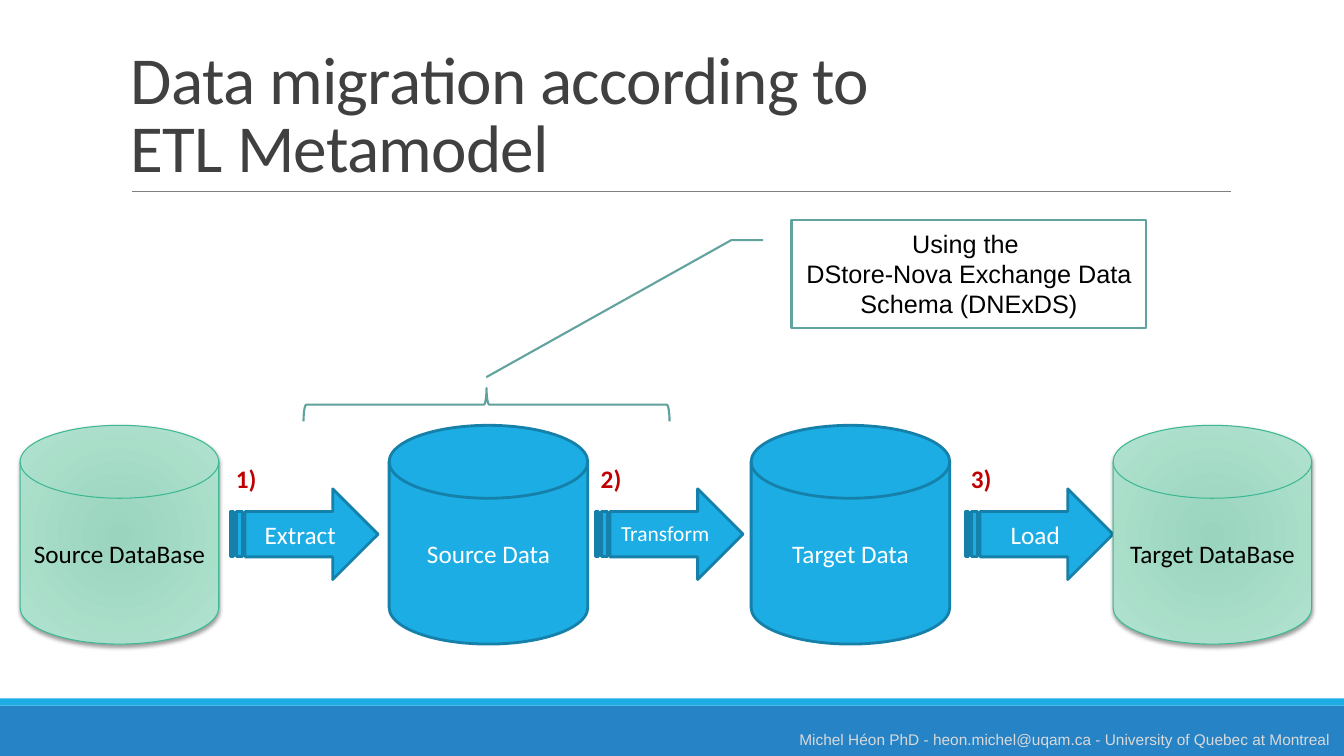
from dataclasses import dataclass

from lxml import etree
from pptx import Presentation
from pptx.dml.color import RGBColor
from pptx.enum import shapes, text
from pptx.oxml import parse_xml
from pptx.oxml.ns import nsdecls, qn
from pptx.util import Inches, Pt

COLORS = {
    "white": "FFFFFF", "black": "000000", "title": "404040", "rule": "808080",
    "band": "2683C6", "blue": "1CADE4", "blue_edge": "1580A9",
    "green_core": "9AD4BE", "green": "B1E3D0", "green_edge": "3DB894",
    "number": "C00000", "callout": "62A39F", "brace": "5EA19D", "footer": "D9D9D9",
}
KINDS = shapes.MSO_SHAPE
ALIGN = text.PP_ALIGN
STORE_TOP, STORE_SIZE = 4.22, (1.97, 2.17)
STEP_TOP, STEP_SIZE = 4.85, (1.46, 0.9)
NUMBER_TOP, NUMBER_SHIFT, NUMBER_SIZE = 4.55, -0.05, (0.48, 0.4)


@dataclass
class Store:
    label: str
    left: float
    is_database: bool = False


@dataclass
class Step:
    label: str
    left: float
    size: float = 18
    spacing: float = 1.0


STORES = [
    Store("Target DataBase", 11.04, True),
    Store("Source DataBase", 0.2, True),
    Store("Source Data", 3.86),
    Store("Target Data", 7.45),
]
STEPS = [Step("Extract", 2.29), Step("Transform", 5.91, 15.3, 0.9), Step("Load", 9.58)]


def rgb(color: str) -> RGBColor:
    return RGBColor.from_string(COLORS[color])


def write(shape, words: str, size: float, color: str, font: str = "Calibri",
          align=None, spacing: float | None = None, bold: bool = False) -> None:
    shape.text_frame.text = words
    for paragraph in shape.text_frame.paragraphs:
        paragraph.alignment = align
        paragraph.line_spacing = spacing
        for run in paragraph.runs:
            run.font.name = font
            run.font.size = Pt(size)
            run.font.bold = bold
            run.font.color.rgb = rgb(color)


def add_shape(slide, kind, left: float, top: float, width: float, height: float,
              fill: str | None, line: str | None = None, weight: float = 2):
    shape = slide.shapes.add_shape(
        kind, Inches(left), Inches(top), Inches(width), Inches(height))
    shape.shadow.inherit = False
    if fill:
        shape.fill.solid()
        shape.fill.fore_color.rgb = rgb(fill)
    else:
        shape.fill.background()
    if line:
        shape.line.color.rgb = rgb(line)
        shape.line.width = Pt(weight)
    else:
        shape.line.fill.background()
    shape.text_frame.vertical_anchor = text.MSO_ANCHOR.MIDDLE
    return shape


def add_text(slide, left: float, top: float, width: float, height: float, wrap: bool):
    box = slide.shapes.add_textbox(
        Inches(left), Inches(top), Inches(width), Inches(height))
    box.text_frame.word_wrap = wrap
    return box


def style_database(shape) -> None:
    """Give a database its radial gradient and soft shadow."""
    shape.fill.gradient()
    for stop, color in zip(shape.fill.gradient_stops, ("green_core", "green")):
        stop.color.rgb = rgb(color)
    properties = shape._element.spPr
    gradient = properties.find(qn("a:gradFill"))
    gradient.replace(gradient.find(qn("a:lin")), parse_xml(
        f'<a:path {nsdecls("a")} path="circle">'
        '<a:fillToRect l="50000" t="50000" r="50000" b="50000"/></a:path>'))
    properties.find(qn("a:effectLst")).append(parse_xml(
        f'<a:outerShdw {nsdecls("a")} blurRad="{Pt(3.1)}" dist="{Pt(1.6)}" '
        f'dir="5400000" rotWithShape="0"><a:srgbClr val="{COLORS["black"]}">'
        '<a:alpha val="38000"/></a:srgbClr></a:outerShdw>'))


def add_store(slide, store: Store) -> None:
    edge, weight = ("green_edge", 0.75) if store.is_database else ("blue_edge", 2)
    disk = add_shape(slide, KINDS.FLOWCHART_MAGNETIC_DISK, store.left, STORE_TOP,
                     *STORE_SIZE, "blue", edge, weight)
    if store.is_database:
        style_database(disk)
    write(disk, store.label, 18, "black" if store.is_database else "white",
          align=ALIGN.CENTER)


def add_step(slide, number: int, step: Step) -> None:
    arrow = add_shape(slide, KINDS.STRIPED_RIGHT_ARROW, step.left, STEP_TOP,
                      *STEP_SIZE, "blue", "blue_edge")
    write(arrow, step.label, step.size, "white", align=ALIGN.CENTER,
          spacing=step.spacing)
    marker = add_text(slide, step.left + NUMBER_SHIFT, NUMBER_TOP, *NUMBER_SIZE, False)
    write(marker, f"{number})", 18, "number", bold=True)


def main() -> None:
    deck = Presentation()
    deck.slide_width, deck.slide_height = Inches(13.33), Inches(7.5)
    slide = deck.slides.add_slide(deck.slide_layouts[6])

    # Bottom bands and title rule
    add_shape(slide, KINDS.RECTANGLE, 0, 7, 13.33, 0.5, "band")
    add_shape(slide, KINDS.RECTANGLE, 0, 6.93, 13.33, 0.07, "blue")
    rule = slide.shapes.add_connector(
        shapes.MSO_CONNECTOR.STRAIGHT, Inches(1.31), Inches(1.9), Inches(12.21), Inches(1.9))
    rule.line.color.rgb = rgb("rule")
    rule.line.width = Pt(0.5)
    etree.SubElement(rule._element.spPr, qn("a:effectLst"))

    # Title
    title = add_text(slide, 1.2, 0.31, 11, 1.59, True)
    title.text_frame.vertical_anchor = text.MSO_ANCHOR.BOTTOM
    write(title, "Data migration according to \vETL Metamodel", 48, "title", spacing=0.85)
    for run in title.text_frame.paragraphs[0].runs:
        run.font._element.set("spc", "-50")

    # Process flow
    for number, step in enumerate(STEPS, 1):
        add_step(slide, number, step)
    for store in STORES:
        add_store(slide, store)

    # Schema callout and the brace it points to
    callout = add_shape(slide, KINDS.LINE_CALLOUT_2, 7.85, 2.18, 3.52, 1.07,
                        "white", "callout", 1.5)
    for index, value in enumerate((0.19, -0.08, 0.19, -0.17, 1.46, -0.86)):
        callout.adjustments[index] = value
    write(callout, "Using the \vDStore-Nova Exchange Data Schema (DNExDS)", 18, "black",
          "Arial", ALIGN.CENTER)
    brace = add_shape(slide, KINDS.LEFT_BRACE, 4.66, 2.2, 0.33, 3.63, None, "brace", 1.5)
    brace.rotation = 90

    # Footer
    footer = add_text(slide, 7.83, 7.19, 5.5, 0.29, False)
    write(footer, "Michel Héon PhD - heon.michel@uqam.ca - University of Quebec at Montreal",
          11, "footer", "Arial")

    deck.save("out.pptx")


if __name__ == "__main__":
    main()
